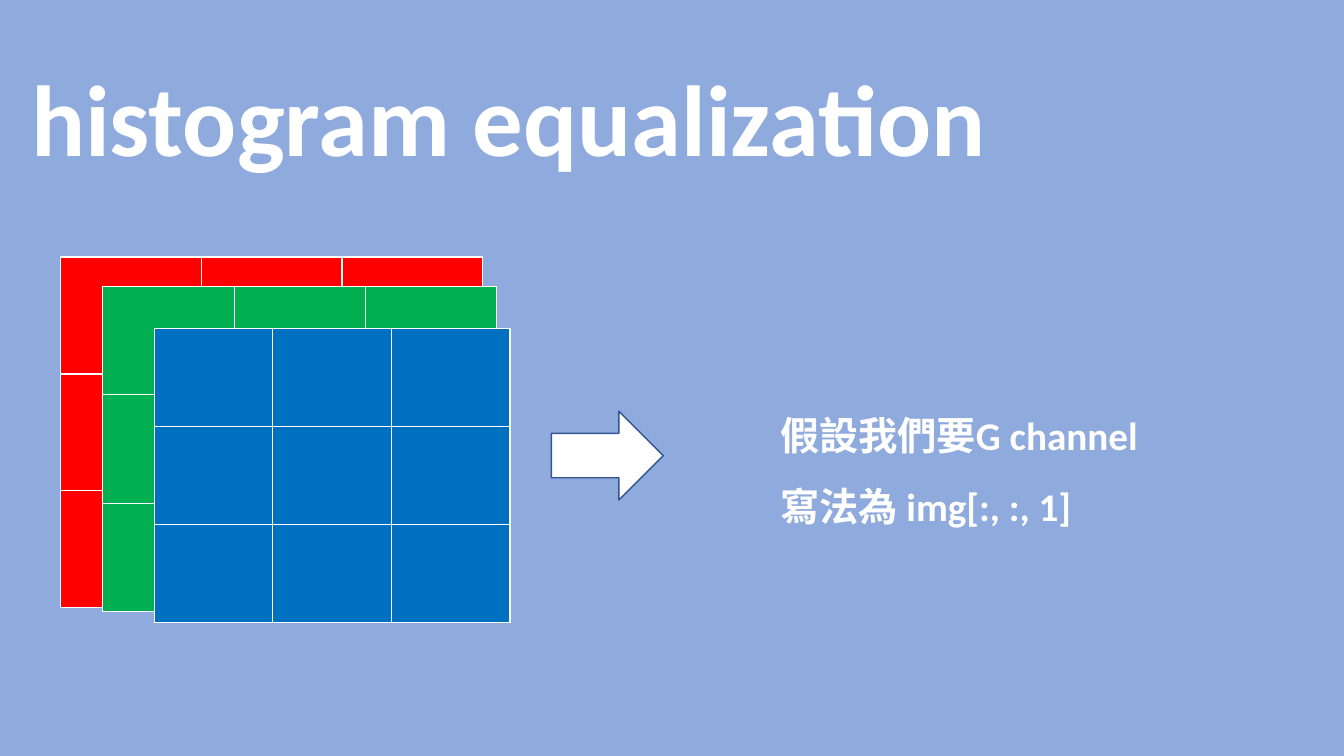
from dataclasses import dataclass

from pptx import Presentation
from pptx.dml.color import RGBColor
from pptx.enum.shapes import MSO_SHAPE
from pptx.enum.text import MSO_ANCHOR
from pptx.slide import Slide
from pptx.util import Inches, Pt

RIGHT_ARROW = MSO_SHAPE.RIGHT_ARROW
TOP, MIDDLE = MSO_ANCHOR.TOP, MSO_ANCHOR.MIDDLE

BACKGROUND = RGBColor(0x8F, 0xAA, 0xDC)
WHITE = RGBColor(0xFF, 0xFF, 0xFF)
RED = RGBColor(0xFF, 0x00, 0x00)
GREEN = RGBColor(0x00, 0xB0, 0x50)
BLUE = RGBColor(0x00, 0x70, 0xC0)
ARROW_LINE = RGBColor(0x32, 0x54, 0x91)

# The slide is a grid of 40 columns by 30 rows
SLIDE_WIDTH, SLIDE_HEIGHT = Inches(13.33), Inches(7.5)
COLUMN, ROW = SLIDE_WIDTH / 40, SLIDE_HEIGHT / 30
PIXELS_PER_SIDE = 3
FONT = "Calibri"


@dataclass(frozen=True)
class Box:
    """A place on the slide, in grid columns and rows."""
    left: float
    top: float
    width: float
    height: float

    def lengths(self) -> tuple[int, int, int, int]:
        return (round(self.left * COLUMN), round(self.top * ROW),
                round(self.width * COLUMN), round(self.height * ROW))


@dataclass(frozen=True)
class Channel:
    box: Box
    color: RGBColor


@dataclass(frozen=True)
class TextBlock:
    box: Box
    lines: tuple[str, ...]
    size: int
    anchor: MSO_ANCHOR
    space_before: int


# Colour channels, from back to front
CHANNELS = (
    Channel(Box(1.8, 10.2, 12.57, 13.92), RED),
    Channel(Box(3.06, 11.36, 11.73, 12.92), GREEN),
    Channel(Box(4.59, 13.04, 10.59, 11.68), BLUE),
)
ARROW_BOX = Box(16.41, 16.32, 3.33, 3.52)
TEXT_BLOCKS = (
    TextBlock(Box(0.63, -0.2, 30, 7.24), ("histogram equalization",), 72, MIDDLE, 10),
    TextBlock(Box(22.92, 15.2, 17.07, 5.76),
              ("假設我們要G channel", "寫法為 img[:, :, 1]"), 28, TOP, 0),
)


def add_channel(slide: Slide, channel: Channel) -> None:
    # The default table style gives the white rules and the thick one under the first row
    table = slide.shapes.add_table(
        PIXELS_PER_SIDE, PIXELS_PER_SIDE, *channel.box.lengths()).table
    for cell in table.iter_cells():
        cell.fill.solid()
        cell.fill.fore_color.rgb = channel.color


def add_arrow(slide: Slide, box: Box) -> None:
    arrow = slide.shapes.add_shape(RIGHT_ARROW, *box.lengths())
    arrow.shadow.inherit = False
    arrow.fill.solid()
    arrow.fill.fore_color.rgb = WHITE
    arrow.line.color.rgb = ARROW_LINE
    arrow.line.width = Pt(1)


def add_text(slide: Slide, block: TextBlock) -> None:
    text_frame = slide.shapes.add_textbox(*block.box.lengths()).text_frame
    text_frame.word_wrap = True
    text_frame.vertical_anchor = block.anchor
    text_frame.text = "\n".join(block.lines)
    for paragraph in text_frame.paragraphs:
        paragraph.line_spacing = 1.5
        paragraph.space_before = Pt(block.space_before)
        for run in paragraph.runs:
            run.font.name = FONT
            run.font.size = Pt(block.size)
            run.font.bold = True
            run.font.color.rgb = WHITE


def main() -> None:
    presentation = Presentation()
    presentation.slide_width = SLIDE_WIDTH
    presentation.slide_height = SLIDE_HEIGHT
    slide = presentation.slides.add_slide(presentation.slide_layouts[6])
    slide.background.fill.solid()
    slide.background.fill.fore_color.rgb = BACKGROUND

    for channel in CHANNELS:
        add_channel(slide, channel)
    add_arrow(slide, ARROW_BOX)
    for block in TEXT_BLOCKS:
        add_text(slide, block)

    presentation.save("out.pptx")


if __name__ == "__main__":
    main()
